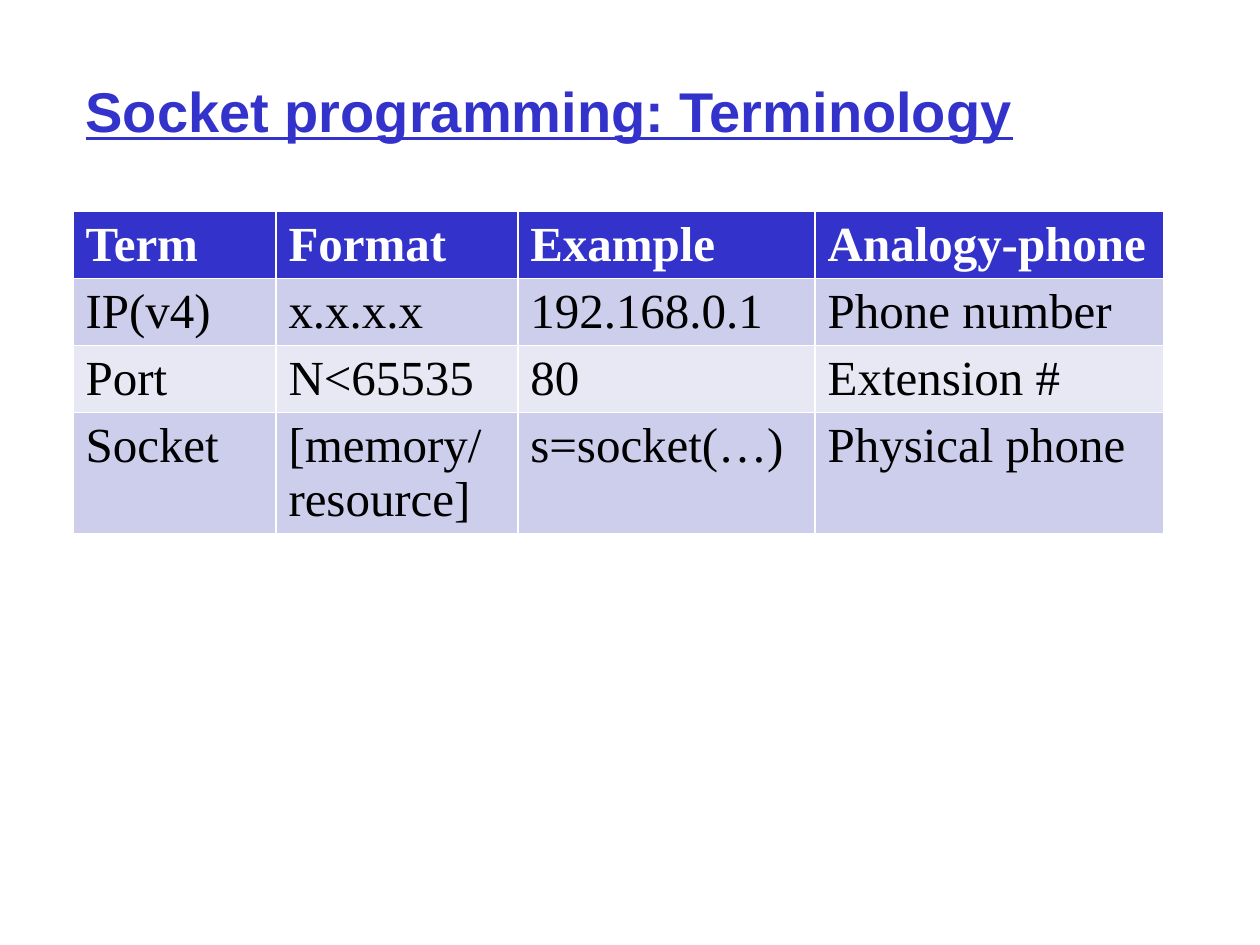
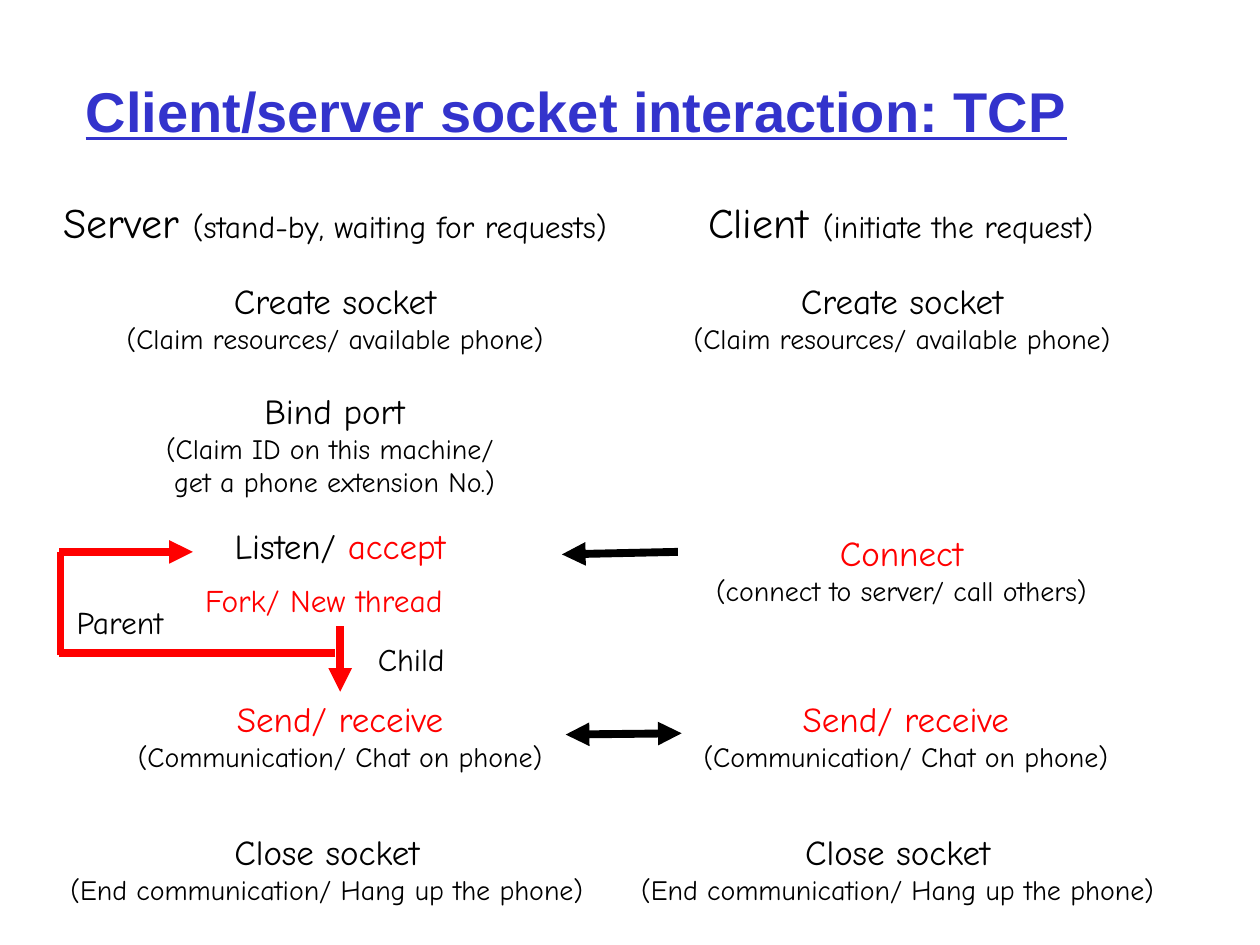
from pptx import Presentation
from pptx.dml.color import RGBColor
from pptx.enum import shapes, text
from pptx.oxml import ns
from pptx.util import Inches, Pt
from lxml import etree

BLUE = RGBColor(0x33, 0x33, 0xCC)
PALE = RGBColor(0xCD, 0xCD, 0xEC)
MIST = RGBColor(0xE8, 0xE8, 0xF5)
RED = RGBColor(0xFF, 0, 0)
BLACK = RGBColor(0, 0, 0)
WHITE = RGBColor(0xFF, 0xFF, 0xFF)
SANS, SERIF, HAND = "Arial", "Times New Roman", "Comic Neue"
LEFT, MID = text.PP_ALIGN.LEFT, text.PP_ALIGN.CENTER


def write(frame, paras, font=HAND, size=20, color=BLACK, bold=False,
          line=None, align=LEFT, before=0):
    """Fill a frame; each paragraph is a list of (words, size, color), the last two optional."""
    for i, runs in enumerate(paras):
        para = frame.paragraphs[0] if i == 0 else frame.add_paragraph()
        para.alignment = align
        para.space_before = Pt(before)
        for words, *look in runs:
            run = para.add_run()
            run.text = words
            face = run.font
            face.name, face.bold, face.underline = font, bold, line
            face.size = Pt(look[0] if look else size)
            face.color.rgb = look[1] if len(look) > 1 else color


class Deck:
    def __init__(self):
        self.prs = Presentation()
        self.prs.slide_width, self.prs.slide_height = Inches(10), Inches(7.5)
        self.slide = None

    def page(self, title):
        self.slide = self.prs.slides.add_slide(self.prs.slide_layouts[5])
        head = self.slide.shapes.title
        head.left, head.top = Inches(0.58), Inches(0.25)
        head.width, head.height = Inches(8.5), Inches(1.25)
        head.text_frame.vertical_anchor = text.MSO_ANCHOR.MIDDLE
        write(head.text_frame, [[(title,)]], font=SANS, size=32,
              color=BLUE, bold=True, line=True)

    def box(self, at, paras, wrap=False, anchor=text.MSO_ANCHOR.TOP, **look):
        frame = self.slide.shapes.add_textbox(*map(Inches, at)).text_frame
        frame.word_wrap = wrap
        frame.auto_size = text.MSO_AUTO_SIZE.SHAPE_TO_FIT_TEXT
        frame.vertical_anchor = anchor
        write(frame, paras, **look)

    def side(self, left, width, name, role):
        """Heading of the server or client column."""
        self.box((left, 1.51, width, 0.5), [[(name, 24), (role, 18)]],
                 anchor=text.MSO_ANCHOR.MIDDLE, align=MID, before=12)

    def step(self, left, top, width, call, *notes, color=BLACK):
        """A socket call with smaller notes below it."""
        paras = [[(call, 20, color)]] + [[(note, 16)] for note in notes]
        self.box((left, top, width, 0.44 + 0.26 * len(notes)), paras, align=MID)

    def tag(self, left, top, width, words, color=BLACK):
        self.box((left, top, width, 0.4), [[(words,)]], wrap=True,
                 size=18, color=color)

    def line(self, x1, y1, x2, y2, color=RED, ends=()):
        link = self.slide.shapes.add_connector(
            shapes.MSO_CONNECTOR.STRAIGHT, *map(Inches, (x1, y1, x2, y2)))
        link.line.color.rgb = color
        link.line.width = Pt(4.5)
        stroke = link.line._get_or_add_ln()
        for end in ends:
            etree.SubElement(stroke, ns.qn(f"a:{end}End"), type="triangle")
        etree.SubElement(link._element.spPr, ns.qn("a:effectLst"))

    def table(self, left, top, cols, highs, rows):
        grid = self.slide.shapes.add_table(
            len(rows), len(cols), Inches(left), Inches(top),
            Inches(sum(cols)), Inches(sum(highs))).table
        for col, wide in zip(grid.columns, cols):
            col.width = Inches(wide)
        for r, (row, high) in enumerate(zip(rows, highs)):
            grid.rows[r].height = Inches(high)
            for c, words in enumerate(row):
                cell = grid.cell(r, c)
                cell.fill.solid()
                cell.fill.fore_color.rgb = BLUE if r == 0 else PALE if r % 2 else MIST
                write(cell.text_frame, [[(part,)] for part in words.split("\n")],
                      font=SERIF, size=28, bold=r == 0,
                      color=WHITE if r == 0 else BLACK)


def terms(deck):
    deck.page("Socket programming: Terminology")
    deck.table(0.58, 1.68, (1.61, 1.92, 2.36, 2.77), (0.53, 0.53, 0.53, 0.96), [
        ("Term", "Format", "Example", "Analogy-phone"),
        ("IP(v4)", "x.x.x.x", "192.168.0.1", "Phone number"),
        ("Port", "N<65535", "80", "Extension #"),
        ("Socket", "[memory/\nresource]", "s=socket(…)", "Physical phone"),
    ])


def flow(deck):
    deck.page("Client/server socket interaction: TCP")
    deck.side(0.11, 5.1, "Server ", "(stand-by, waiting for requests)")
    deck.side(5.32, 3.74, "Client ", "(initiate the request) ")

    # Steps that both sides take
    for make, talk, close in ((0.8, 0.95, 0.4), (5.3, 5.44, 4.93)):
        deck.step(make, 2.17, 3.72, "Create socket",
                  "(Claim resources/ available phone)")
        deck.step(talk, 5.49, 3.5, "Send/ receive",
                  "(Communication/ Chat on phone)", color=RED)
        deck.step(close, 6.54, 4.39, "Close socket",
                  "(End communication/ Hang up the phone)")

    # Steps of one side
    deck.step(1.15, 3.04, 3.01, "Bind port", "(Claim ID on this machine/ ",
              "get a phone extension No.)")
    deck.box((1.66, 4.11, 2.08, 0.43),
             [[("Listen/ ",), ("accept", 20, RED)]], align=MID)
    deck.step(5.42, 4.17, 3.47, "Connect",
              "(connect to server/ call others)", color=RED)

    # Fork: the child goes on, the parent loops back to accept
    deck.tag(1.53, 4.56, 2.34, "Fork/ New thread", RED)
    deck.tag(2.9, 5.03, 2.34, "Child")
    deck.tag(0.51, 4.74, 1.17, "Parent")
    deck.line(2.7, 4.97, 2.7, 5.49, ends=["tail"])
    deck.line(2.66, 5.18, 0.47, 5.18)
    deck.line(0.48, 5.2, 0.48, 4.38)
    deck.line(0.47, 4.38, 1.53, 4.38, ends=["tail"])

    # Messages between the sides
    deck.line(5.38, 4.38, 4.46, 4.4, BLACK, ["tail"])
    deck.line(5.41, 5.82, 4.49, 5.83, BLACK, ["head", "tail"])


def main():
    deck = Deck()
    terms(deck)
    flow(deck)
    deck.prs.save("out.pptx")


if __name__ == "__main__":
    main()
